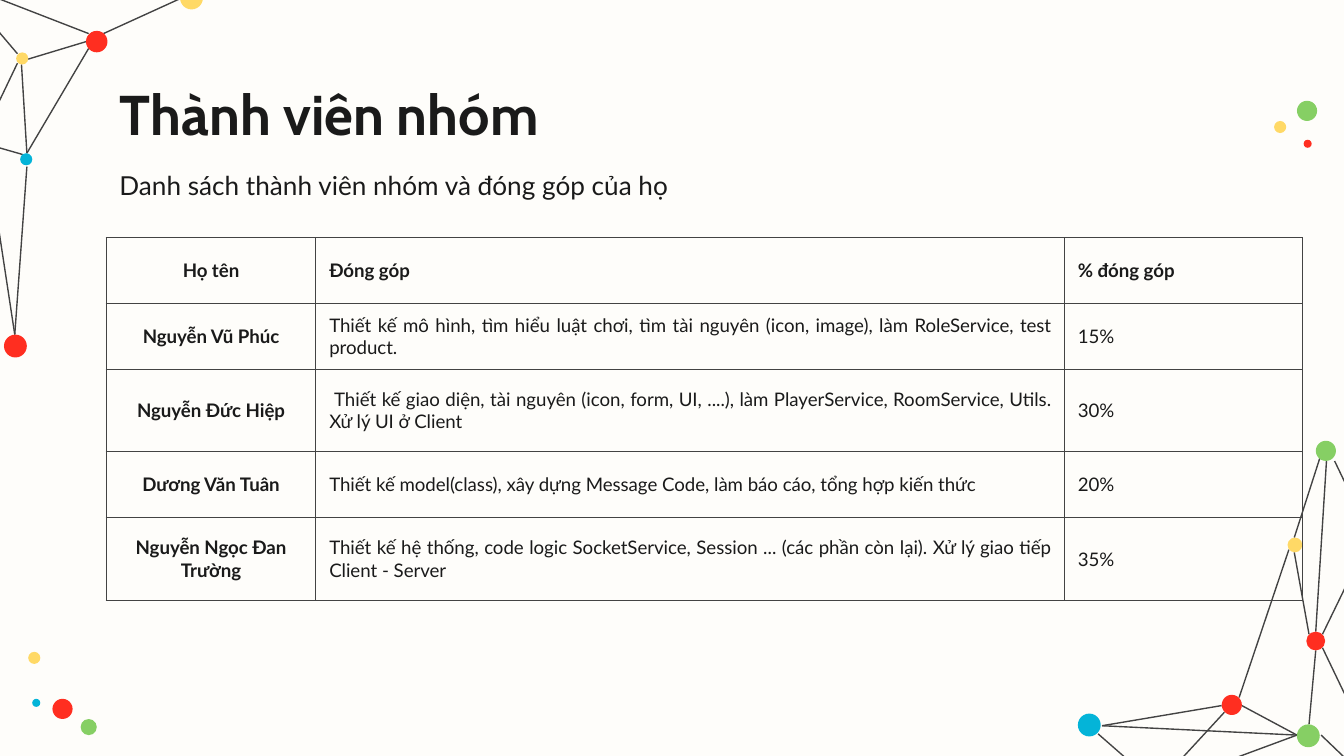
from lxml.etree import SubElement
from pptx import Presentation
from pptx.dml.color import RGBColor
from pptx.enum.shapes import MSO_CONNECTOR as Connector, MSO_SHAPE as Shape
from pptx.enum.text import MSO_ANCHOR as Anchor, PP_ALIGN as Align
from pptx.oxml.ns import qn
from pptx.util import Inches, Pt

YELLOW, RED, BLUE, GREEN = "FFD966", "FF2E20", "04B4D8", "86CF64"

# Network lines: x1, y1, x2, y2
TOP_LEFT_LINES = [
    (0.21, 0.44, 0.64, 0.31), (0.77, 0.25, 1.34, -0.01), (0.2, 1.24, 0.11, 2.49),
    (-0.1, 1.11, 0.11, 2.49), (-0.04, 1.09, 0.17, 1.15), (-0.1, 0.95, 0.13, 0.47),
    (-0.32, -0.13, 0.13, 0.4), (0.66, 0.25, -0.32, -0.13), (0.2, 1.14, 0.16, 0.48),
    (0.2, 1.14, 0.66, 0.36),
]
BOTTOM_RIGHT_LINES = [
    (9.82, 3.41, 9.63, 4), (9.63, 4.11, 9.74, 4.72), (9.87, 3.43, 9.79, 4.7),
    (9.74, 5.39, 9.79, 4.84), (9.24, 5.25, 9.65, 5.47), (8.65, 5.84, 9.65, 5.47),
    (8.17, 5.46, 8.57, 5.81), (8.2, 5.4, 9.09, 5.25), (8.64, 5.81, 9.11, 5.3),
    (9.22, 5.19, 9.59, 4.09), (9.93, 3.43, 10.18, 3.95), (9.84, 4.72, 10.18, 4.02),
    (9.84, 4.82, 10.32, 5.82), (9.83, 5.47, 10.29, 5.91), (8.2, 5.4, 9.65, 5.47),
]

# Dots: left, top, diameter, colour
NETWORK_DOTS = [
    (1.34, -0.1, 0.17, YELLOW), (0.03, 2.49, 0.17, RED), (0.64, 0.23, 0.16, RED),
    (0.15, 1.14, 0.09, BLUE), (0.12, 0.39, 0.09, YELLOW),
    (8.02, 5.31, 0.17, BLUE), (9.58, 4, 0.11, YELLOW), (9.65, 5.39, 0.17, GREEN),
    (9.09, 5.17, 0.15, RED), (9.72, 4.7, 0.14, RED), (9.79, 3.28, 0.15, GREEN),
]
LOOSE_DOTS = [
    (0.21, 4.85, 0.09, YELLOW), (0.39, 5.2, 0.15, RED), (0.6, 5.35, 0.12, GREEN),
    (0.24, 5.2, 0.06, BLUE), (9.48, 0.9, 0.09, YELLOW), (9.65, 0.75, 0.15, GREEN),
    (9.7, 1.04, 0.06, RED),
]

MEMBERS = [
    ("Họ tên", "Đóng góp", "% đóng góp"),
    ("Nguyễn Vũ Phúc", "Thiết kế mô hình, tìm hiểu luật chơi, tìm tài nguyên (icon, image), "
     "làm RoleService, test product.", "15%"),
    ("Nguyễn Đức Hiệp", " Thiết kế giao diện, tài nguyên (icon, form, UI, ....), "
     "làm PlayerService, RoomService, Utils. Xử lý UI ở Client", "30%"),
    ("Dương Văn Tuân", "Thiết kế model(class), xây dựng Message Code, làm báo cáo, "
     "tổng hợp kiến thức", "20%"),
    ("Nguyễn Ngọc Đan Trường", "Thiết kế hệ thống, code logic SocketService, Session ... "
     "(các phần còn lại). Xử lý giao tiếp Client - Server", "35%"),
]
COLUMN_WIDTHS = [1.56, 5.57, 1.77]
ROW_HEIGHTS = [0.49, 0.49, 0.61, 0.49, 0.62]


def color(value):
    return RGBColor.from_string(value)


class SlideBuilder:
    ink, rule, paper = "1A1A1A", "434343", "FEFDFA"
    heading_font, body_font = "Cabin", "Lato"
    rule_width = Pt(0.75)

    def __init__(self, page):
        self.page = page
        fill = page.background.fill
        fill.solid()
        fill.fore_color.rgb = color(self.paper)

    def style(self, para, font, size, bold=False, align=Align.LEFT):
        para.alignment = align
        for span in para.runs:
            span.font.name = font
            span.font.size = Pt(size)
            span.font.bold = bold
            span.font.color.rgb = color(self.ink)

    def fill_box(self, box, text, area, font, size, bold=False):
        box.left, box.top, box.width, box.height = map(Inches, area)
        frame = box.text_frame
        frame.text = text
        frame.word_wrap = True
        frame.vertical_anchor = Anchor.TOP
        frame.margin_left = frame.margin_right = Inches(0.1)
        frame.margin_top = frame.margin_bottom = Inches(0.1)
        self.style(frame.paragraphs[0], font, size, bold)

    def title(self, text, area):
        self.fill_box(self.page.shapes.title, text, area, self.heading_font, 30, True)

    def text(self, text, area):
        box = self.page.shapes.add_textbox(*map(Inches, area))
        self.fill_box(box, text, area, self.body_font, 14)

    def line(self, *ends):
        line = self.page.shapes.add_connector(Connector.STRAIGHT, *map(Inches, ends))
        line.line.color.rgb = color(self.rule)
        line.line.width = self.rule_width
        SubElement(line._element.spPr, qn("a:effectLst"))

    def dot(self, left, top, size, fill):
        dot = self.page.shapes.add_shape(Shape.OVAL, *map(Inches, (left, top, size, size)))
        dot.shadow.inherit = False
        dot.fill.solid()
        dot.fill.fore_color.rgb = color(fill)
        dot.line.fill.background()

    def borders(self, cell):
        properties = cell._tc.get_or_add_tcPr()
        for side in ("lnL", "lnR", "lnT", "lnB"):
            edge = SubElement(properties, qn(f"a:{side}"), w=str(self.rule_width))
            fill = SubElement(edge, qn("a:solidFill"))
            SubElement(fill, qn("a:srgbClr"), val=self.rule)

    def cell(self, cell, text, bold, align, space_after):
        self.borders(cell)
        cell.fill.background()
        cell.vertical_anchor = Anchor.MIDDLE
        cell.margin_left = cell.margin_right = Inches(0.1)
        cell.margin_top = cell.margin_bottom = 0
        cell.text_frame.text = text
        para = cell.text_frame.paragraphs[0]
        para.space_after = Pt(space_after)
        self.style(para, self.body_font, 10, bold, align)

    def table(self, rows, left, top, widths, heights):
        area = map(Inches, (left, top, sum(widths), sum(heights)))
        table = self.page.shapes.add_table(len(rows), len(widths), *area).table
        table.first_row = table.horz_banding = False
        for column, width in zip(table.columns, widths):
            column.width = Inches(width)
        for row, height in zip(table.rows, heights):
            row.height = Inches(height)
        for r, texts in enumerate(rows):
            for c, text in enumerate(texts):
                name = c == 0
                self.cell(table.cell(r, c), text, bold=name or r == 0,
                          align=Align.CENTER if name else Align.JUSTIFY,
                          space_after=0 if name else 16)


def main():
    # Widescreen page, 16:9
    deck = Presentation()
    deck.slide_width = Inches(10)
    deck.slide_height = Inches(10) * 9 // 16
    builder = SlideBuilder(deck.slides.add_slide(deck.slide_layouts[5]))

    # Corner decoration
    for ends in TOP_LEFT_LINES + BOTTOM_RIGHT_LINES:
        builder.line(*ends)
    for dot in NETWORK_DOTS + LOOSE_DOTS:
        builder.dot(*dot)

    # Heading
    builder.title("Thành viên nhóm", (0.79, 0.49, 8.43, 0.63))

    # Members and their contributions
    builder.table(MEMBERS, 0.79, 1.77, COLUMN_WIDTHS, ROW_HEIGHTS)
    builder.text("Danh sách thành viên nhóm và đóng góp của họ", (0.79, 1.16, 8.43, 0.4))

    deck.save("out.pptx")


if __name__ == "__main__":
    main()
